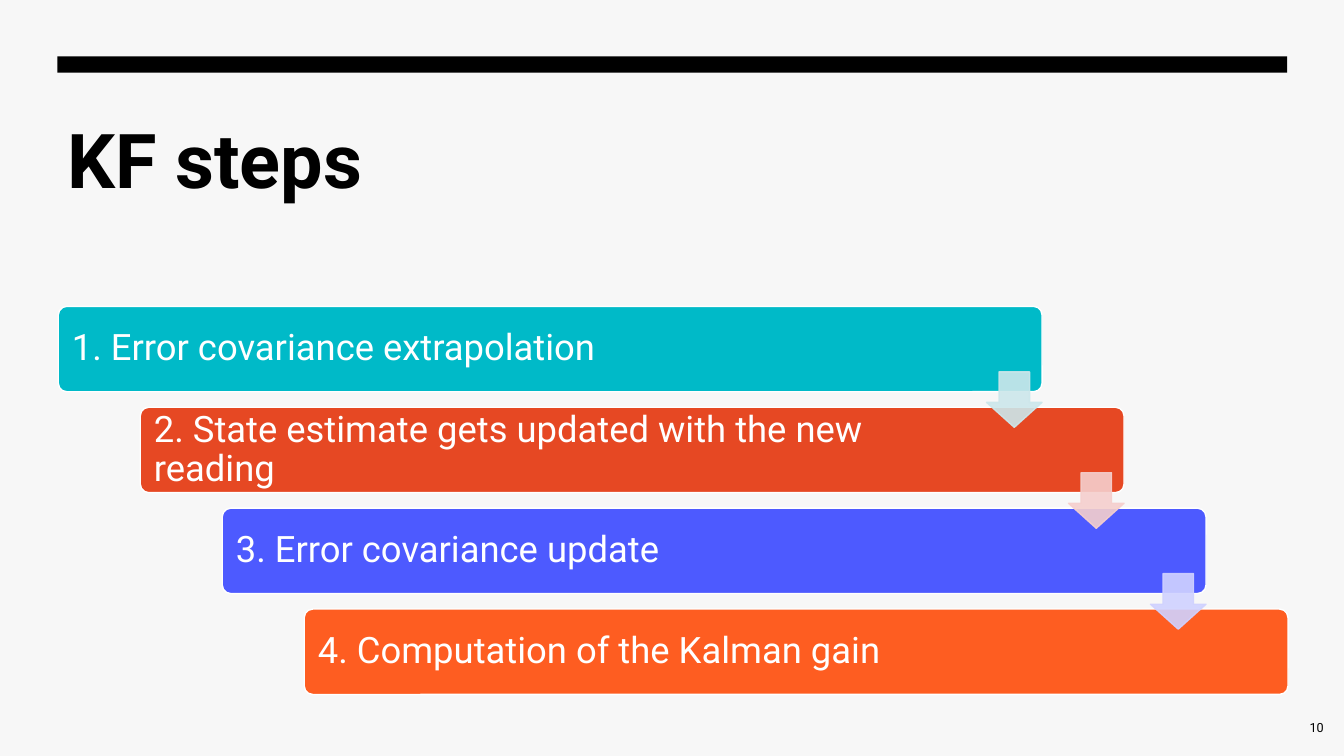
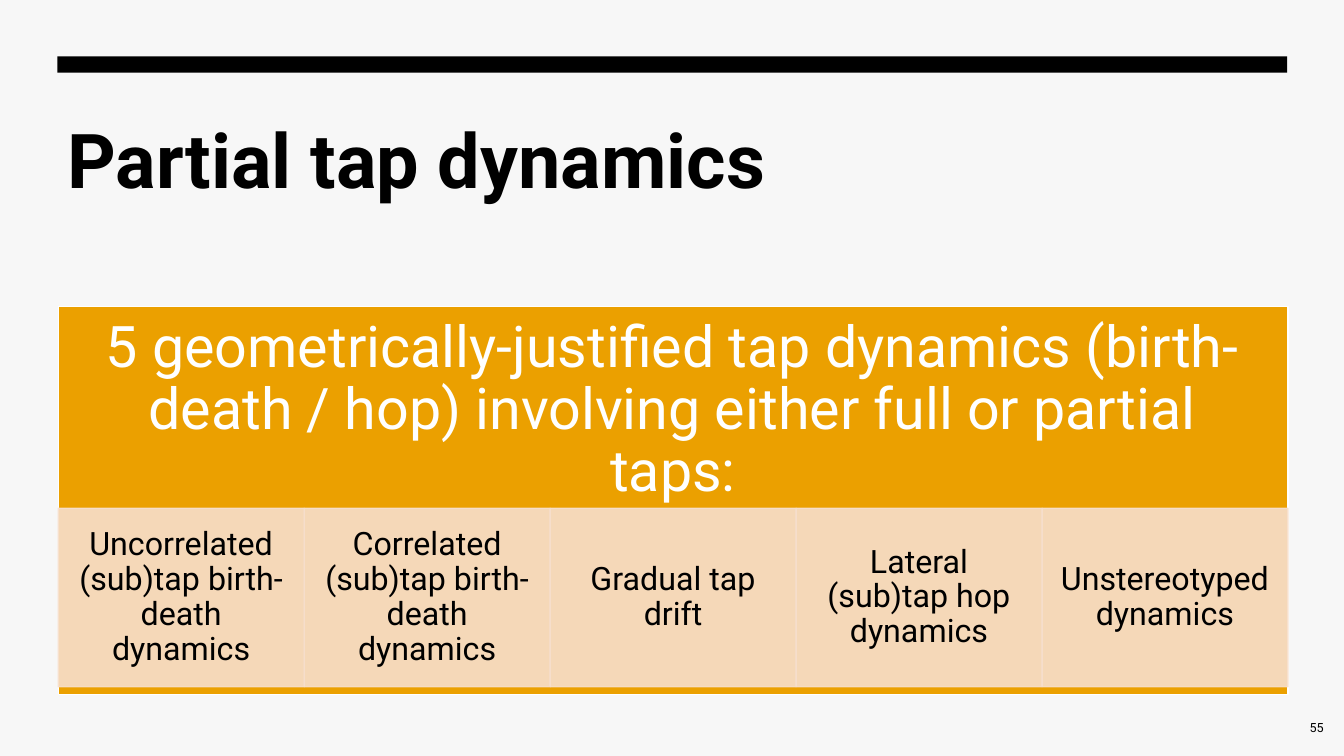
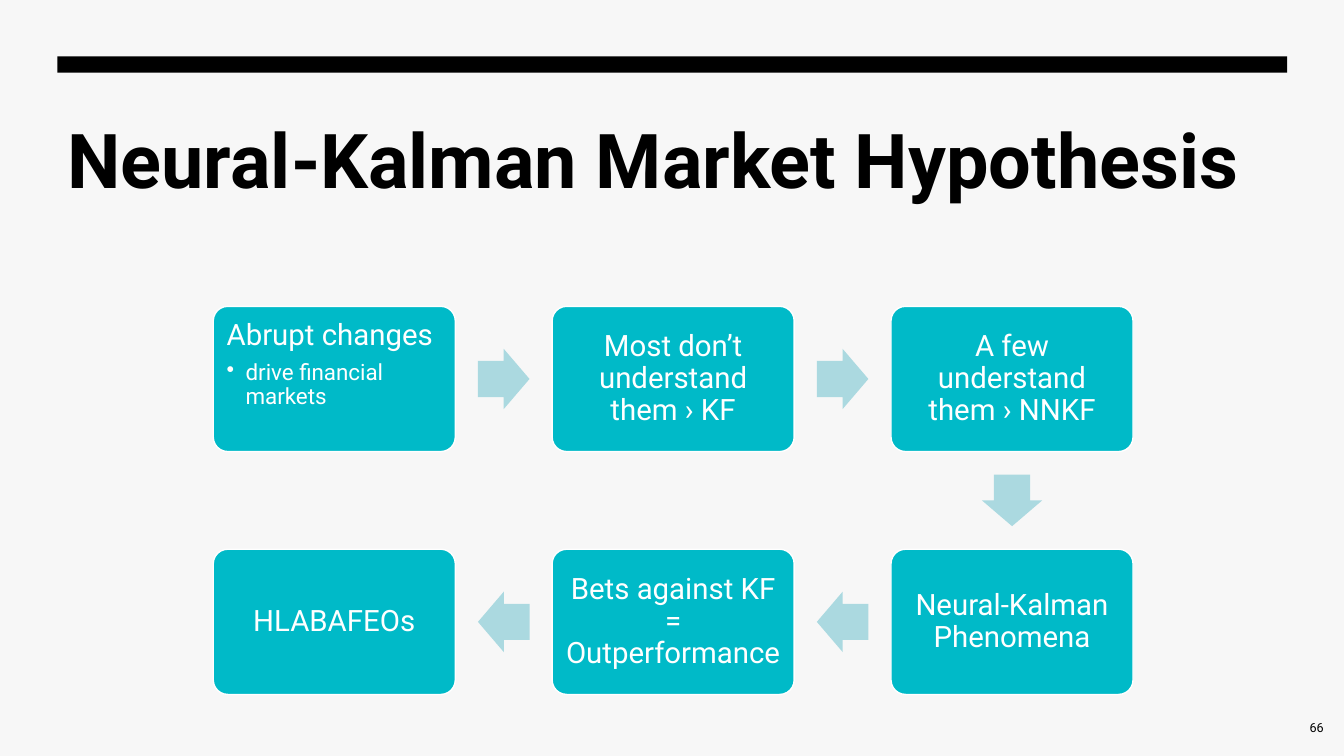
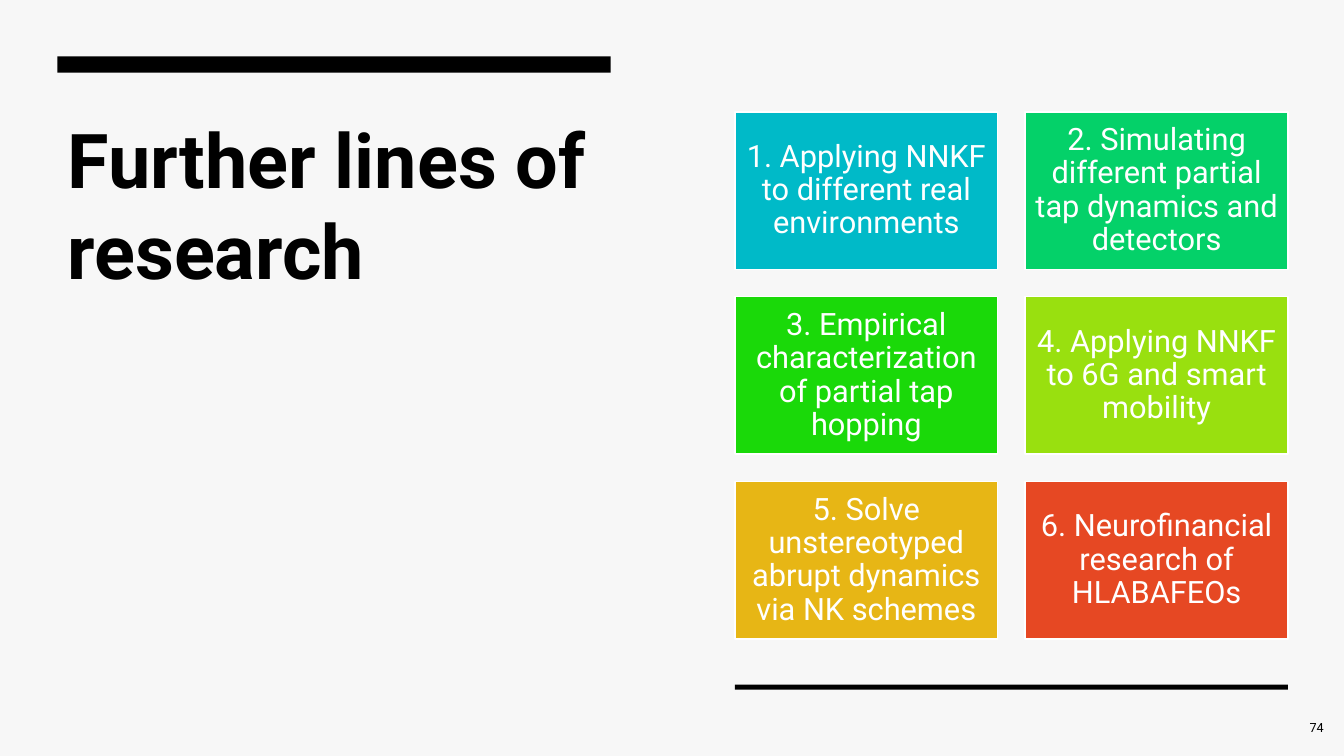
from lxml.etree import SubElement
from pptx import Presentation
from pptx.dml.color import RGBColor
from pptx.enum.shapes import MSO_SHAPE
from pptx.enum.text import MSO_ANCHOR, PP_ALIGN
from pptx.oxml.ns import qn
from pptx.util import Cm, Pt

COLORS = {
    "paper": "F7F7F7", "black": "000000", "white": "FFFFFF",
    "teal": "00BAC8", "red": "E64823", "blue": "4D5AFF", "orange": "FE5D21",
    "amber": "EBA000", "sand": "F7DFCC", "emerald": "04D169", "green": "1AD909",
    "lime": "99E00F", "gold": "E7B615", "teal_tint": "CCE7EB",
    "red_tint": "F5CFCD", "blue_tint": "D0D2FF", "flow_arrow": "ABD9E0",
}
FONT = "Roboto"
BODY = (1.47, 7.72, 30.99, 9.78)
FULL_WIDTH, HALF_WIDTH = 30.99, 13.94

STEPS = [
    ("1. Error covariance extrapolation", "teal", "teal_tint"),
    ("2. State estimate gets updated with the new reading", "red", "red_tint"),
    ("3. Error covariance update", "blue", "blue_tint"),
    ("4. Computation of the Kalman gain", "orange", None),
]
DYNAMICS = [
    "Uncorrelated (sub)tap birth-death dynamics",
    "Correlated (sub)tap birth-death dynamics",
    "Gradual tap drift",
    "Lateral (sub)tap hop dynamics",
    "Unstereotyped dynamics",
]
FLOW = [
    ["Abrupt changes", "drive financial markets"],
    ["Most don’t understand them › KF"],
    ["A few understand them › NNKF"],
    ["Neural-Kalman Phenomena"],
    ["Bets against KF = Outperformance"],
    ["HLABAFEOs"],
]
RESEARCH = [
    ("1. Applying NNKF to different real environments", "teal"),
    ("2. Simulating different partial tap dynamics and detectors", "emerald"),
    ("3. Empirical characterization of partial tap hopping", "green"),
    ("4. Applying NNKF to 6G and smart mobility", "lime"),
    ("5. Solve unstereotyped abrupt dynamics via NK schemes", "gold"),
    ("6. Neurofinancial research of HLABAFEOs", "red"),
]


def rgb(name):
    """Return a palette colour."""
    return RGBColor.from_string(COLORS[name])


def paint(fill, color, alpha=None):
    """Make a fill solid, with an optional opacity in percent."""
    fill.solid()
    fill.fore_color.rgb = rgb(color)
    if alpha:
        clr = fill._xPr.find(qn("a:solidFill"))[0]
        SubElement(clr, qn("a:alpha"), val=str(alpha * 1000))


def add_shape(s, kind, box, color, line=None, alpha=None, adj=()):
    """Add a filled preset shape in a box given in centimetres."""
    sp = s.shapes.add_shape(kind, *map(Cm, box))
    sp.shadow.inherit = False
    paint(sp.fill, color, alpha)
    if line:
        paint(sp.line.fill, line, alpha)
        sp.line.width = Pt(1)
    else:
        sp.line.fill.background()
    for i, value in enumerate(adj):
        sp.adjustments[i] = value
    return sp


def format_paragraph(p, size, color, align, spacing, bold=False):
    """Style one paragraph and its runs."""
    p.alignment = align
    p.line_spacing = spacing
    for r in p.runs:
        r.font.name = FONT
        r.font.size = Pt(size)
        r.font.bold = bold
        r.font.color.rgb = rgb(color)


def write(sp, text, size, color="white", align=PP_ALIGN.CENTER,
          anchor=MSO_ANCHOR.MIDDLE, insets=(0.23,) * 4, spacing=0.9, bold=False):
    """Write text in a shape, with insets left, top, right, bottom."""
    tf = sp.text_frame
    tf.word_wrap = True
    tf.vertical_anchor = anchor
    tf.margin_left, tf.margin_top, tf.margin_right, tf.margin_bottom = map(Cm, insets)
    tf.text = text
    format_paragraph(tf.paragraphs[0], size, color, align, spacing, bold)
    return tf


def add_bullet(tf, text, size):
    """Append a bulleted paragraph."""
    p = tf.add_paragraph()
    p.text = text
    p.level = 1
    pPr = p._p.get_or_add_pPr()
    indent = Cm(0.48)
    pPr.set("marL", str(indent))
    pPr.set("indent", str(-indent))
    SubElement(pPr, qn("a:buChar"), char="•")
    format_paragraph(p, size, "white", PP_ALIGN.LEFT, 0.9)


def add_slide(prs, title, number, width=FULL_WIDTH):
    """Add a slide with its top band, title and page number."""
    s = prs.slides.add_slide(prs.slide_layouts[6])
    paint(s.background.fill, "paper")
    add_shape(s, MSO_SHAPE.RECTANGLE, (1.45, 1.42, width, 0.41), "black")
    for box, text, size, align, anchor, bold in (
        ((1.45, 2.72, width, 4.55), title, 54, PP_ALIGN.LEFT, MSO_ANCHOR.TOP, True),
        ((31.83, 17.83, 1.78, 1.02), str(number), 9, PP_ALIGN.RIGHT, MSO_ANCHOR.MIDDLE, False),
    ):
        tb = s.shapes.add_textbox(*map(Cm, box))
        write(tb, text, size, "black", align, anchor, (0.25, 0.13, 0.25, 0.13), 1.0, bold)
    return s


def add_staircase(s, box, steps):
    """Place step bars descending to the right, joined by down arrows."""
    x, y, w, h = box
    bar_w, bar_h, arrow = 0.8 * w, 0.22 * h, 1.4
    dx, dy = (w - bar_w) / (len(steps) - 1), (h - bar_h) / (len(steps) - 1)
    for i, (text, color, _) in enumerate(steps):
        bar = add_shape(s, MSO_SHAPE.ROUNDED_RECTANGLE,
                        (x + i * dx, y + i * dy, bar_w, bar_h), color, "white", adj=[0.1])
        write(bar, text, 26, align=PP_ALIGN.LEFT, insets=(0.28, 0.1, 3.75, 0.1))
    for i, (_, _, tint) in enumerate(steps[:-1]):
        add_shape(s, MSO_SHAPE.DOWN_ARROW,
                  (x + i * dx + bar_w - arrow, y + i * dy + 1.65, arrow, arrow),
                  tint, tint, 90, [0.55, 0.45])


def add_header_columns(s, box, header, columns):
    """Place a header panel over a row of equal cells."""
    x, y, w, h = box
    panel = add_shape(s, MSO_SHAPE.RECTANGLE, box, "amber", "white")
    write(panel, header, 41, insets=(0.81, 0, 0.81, 0.46 * h))
    cell_w = w / len(columns)
    for i, text in enumerate(columns):
        cell = add_shape(s, MSO_SHAPE.RECTANGLE,
                         (x + i * cell_w, y + 0.52 * h, cell_w, 0.46 * h),
                         "sand", "sand", 90)
        write(cell, text, 23, "black", insets=(0.46, 0.08, 0.46, 0.08))


def add_snake_flow(s, box, nodes, cols=3):
    """Place nodes in two rows, right then back left, with arrows between."""
    x, y, w, h = box
    node_w, node_h, arrow_w, arrow_h = 6.1, 3.66, 1.3, 1.52
    dx, dy = 1.4 * node_w, h - node_h
    left = x + (w - (cols - 1) * dx - node_w) / 2
    centers = []
    for i, (text, *bullets) in enumerate(nodes):
        row, col = divmod(i, cols)
        col = cols - 1 - col if row else col
        nx, ny = left + col * dx, y + row * dy
        centers.append((nx + node_w / 2, ny + node_h / 2))
        node = add_shape(s, MSO_SHAPE.ROUNDED_RECTANGLE, (nx, ny, node_w, node_h),
                         "teal", "white", adj=[0.1])
        if bullets:
            tf = write(node, text, 21, align=PP_ALIGN.LEFT, anchor=MSO_ANCHOR.TOP)
            tf.paragraphs[0].space_after = Pt(7)
            for bullet in bullets:
                add_bullet(tf, bullet, 16)
        else:
            write(node, text, 21)
    for (x1, y1), (x2, y2) in zip(centers, centers[1:]):
        arrow = add_shape(s, MSO_SHAPE.RIGHT_ARROW,
                          ((x1 + x2 - arrow_w) / 2, (y1 + y2 - arrow_h) / 2, arrow_w, arrow_h),
                          "flow_arrow", adj=[0.6, 0.5])
        arrow.rotation = 90 if y2 > y1 else 180 if x2 < x1 else 0


def add_tiles(s, box, tiles, cols=2, gap=0.69):
    """Place coloured tiles in a grid with equal gaps."""
    x, y, w, h = box
    rows = len(tiles) // cols
    tile_w, tile_h = (w - (cols - 1) * gap) / cols, (h - (rows - 1) * gap) / rows
    for i, (text, color) in enumerate(tiles):
        row, col = divmod(i, cols)
        tile = add_shape(s, MSO_SHAPE.RECTANGLE,
                         (x + col * (tile_w + gap), y + row * (tile_h + gap), tile_w, tile_h),
                         color, "white")
        write(tile, text, 22)


def main():
    """Build and save the presentation."""
    prs = Presentation()
    prs.slide_width, prs.slide_height = Cm(33.87), Cm(19.05)

    add_staircase(add_slide(prs, "KF steps", 10), BODY, STEPS)
    add_header_columns(
        add_slide(prs, "Partial tap dynamics", 55), BODY,
        "5 geometrically-justified tap dynamics (birth-death / hop) "
        "involving either full or partial taps:", DYNAMICS)
    add_snake_flow(add_slide(prs, "Neural-Kalman Market Hypothesis", 66), BODY, FLOW)

    s = add_slide(prs, "Further lines of research", 74, HALF_WIDTH)
    add_tiles(s, (18.52, 2.82, HALF_WIDTH, 13.28), RESEARCH)
    add_shape(s, MSO_SHAPE.RECTANGLE, (18.52, 17.25, HALF_WIDTH, 0.13), "black")

    prs.save("out.pptx")


if __name__ == "__main__":
    main()
